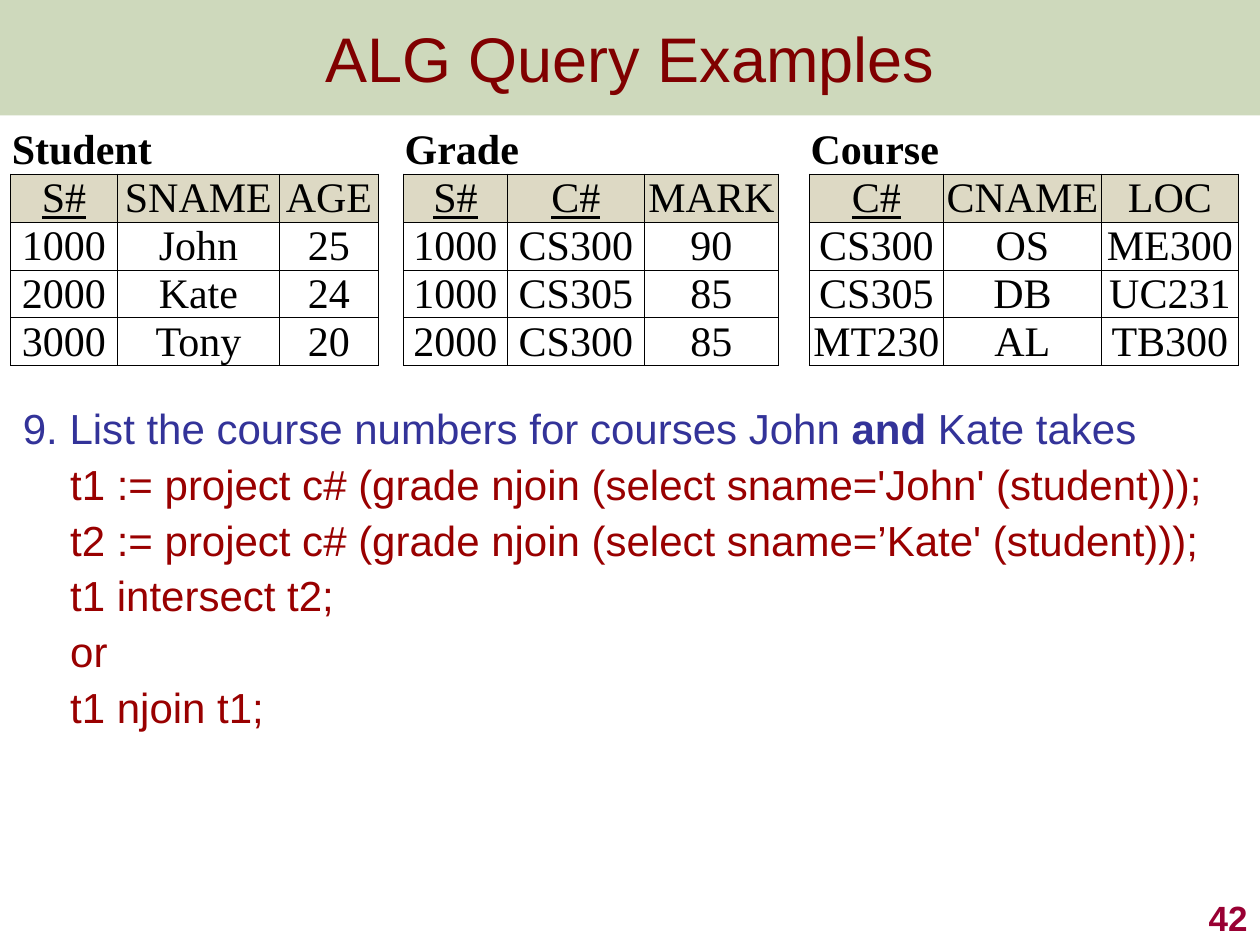
import pptx
import pptx.util
import pptx.dml.color
import pptx.enum.text
import pptx.oxml.ns
from lxml import etree

Pt = pptx.util.Pt
ALIGN = pptx.enum.text.PP_ALIGN
ANCHOR = pptx.enum.text.MSO_ANCHOR

THEME = {
    "sans": "Arial", "serif": "Times New Roman",
    "title_size": 36, "text_size": 24, "number_size": 20,
    "band": "5F8422", "title": "800000", "question": "333399", "answer": "990000",
    "number": "990033", "ink": "000000", "paper": "FFFFFF", "header": "DDD9C4",
}

TITLE = "ALG Query Examples"
PAGE_NUMBER = "42"
# Each relation: name, key columns, column widths, header row and data rows
RELATIONS = [
    ("Student", {"S#"}, (61.1, 92.6, 56.6),
     [("S#", "SNAME", "AGE"), ("1000", "John", "25"),
      ("2000", "Kate", "24"), ("3000", "Tony", "20")]),
    ("Grade", {"S#", "C#"}, (59.4, 78.3, 76.6),
     [("S#", "C#", "MARK"), ("1000", "CS300", "90"),
      ("1000", "CS305", "85"), ("2000", "CS300", "85")]),
    ("Course", {"C#"}, (76.6, 90.3, 78.3),
     [("C#", "CNAME", "LOC"), ("CS300", "OS", "ME300"),
      ("CS305", "DB", "UC231"), ("MT230", "AL", "TB300")]),
]
GAPS = (14.3, 17.7)
ROW_HEIGHT = 27.43
QUESTION = [("9. List the course numbers for courses John ", False),
            ("and ", True), ("Kate takes", False)]
ANSWER = [
    "t1 := project c# (grade njoin (select sname='John' (student)));",
    "t2 := project c# (grade njoin (select sname=’Kate' (student)));",
    "t1 intersect t2;",
    "or",
    "t1 njoin t1;",
]


def rgb(name):
    return pptx.dml.color.RGBColor.from_string(THEME[name])


def add_text(para, text, color="ink", size="text_size", font="sans",
             bold=False, underline=False, align=None):
    span = para.add_run()
    span.text = text
    span.font.name = THEME[font]
    span.font.size = Pt(THEME[size])
    span.font.bold = bold
    span.font.underline = underline
    span.font.color.rgb = rgb(color)
    if align is not None:
        para.alignment = align


def add_element(parent, tag, **attributes):
    return etree.SubElement(parent, pptx.oxml.ns.qn(tag), attributes)


def set_borders(cell, edges):
    """Draw the edges named in the set (L, R, T, B) and clear the others."""
    properties = cell._tc.get_or_add_tcPr()
    for edge in "LRTB":
        line = add_element(properties, f"a:ln{edge}", w=str(Pt(0.5)))
        if edge in edges:
            fill = add_element(line, "a:solidFill")
            add_element(fill, "a:srgbClr", val=THEME["ink"])
        else:
            add_element(line, "a:noFill")


def add_title(page):
    title = page.shapes.title
    title.left, title.top, title.width, title.height = Pt(0), Pt(0), Pt(720), Pt(66)
    title.fill.solid()
    title.fill.fore_color.rgb = rgb("band")
    color = title.fill._xPr.find(".//" + pptx.oxml.ns.qn("a:srgbClr"))
    add_element(color, "a:alpha", val="30000")
    title.text_frame.vertical_anchor = ANCHOR.MIDDLE
    add_text(title.text_frame.paragraphs[0], TITLE, color="title",
             size="title_size", align=ALIGN.CENTER)


def add_relations(page):
    widths, starts = [], []
    for index, relation in enumerate(RELATIONS):
        if index:
            widths.append(GAPS[index - 1])
        starts.append(len(widths))
        widths.extend(relation[2])
    row_count = 1 + len(RELATIONS[0][3])
    table = page.shapes.add_table(row_count, len(widths), Pt(6), Pt(72), Pt(sum(widths)),
                                  Pt(ROW_HEIGHT * row_count)).table
    table.first_row = table.horz_banding = False
    for column, width in zip(table.columns, widths):
        column.width = Pt(width)

    gaps = {start - 1 for start in starts[1:]}

    def in_grid(row, column):
        return 0 < row < row_count and 0 <= column < len(widths) and column not in gaps

    for r, row in enumerate(table.rows):
        row.height = Pt(ROW_HEIGHT)
        for c, cell in enumerate(row.cells):
            neighbours = {"L": (r, c - 1), "R": (r, c + 1), "T": (r - 1, c), "B": (r + 1, c)}
            set_borders(cell, {edge for edge, place in neighbours.items()
                               if in_grid(r, c) or in_grid(*place)})
            cell.fill.solid()
            cell.fill.fore_color.rgb = rgb("header" if r == 1 and in_grid(r, c) else "paper")
            cell.margin_left = cell.margin_right = Pt(0.72)
            cell.margin_top = cell.margin_bottom = Pt(0)
            cell.vertical_anchor = ANCHOR.BOTTOM

    for start, (name, keys, columns, rows) in zip(starts, RELATIONS):
        label = table.cell(0, start)
        label.merge(table.cell(0, start + len(columns) - 1))
        add_text(label.text_frame.paragraphs[0], name, font="serif", bold=True)
        for r, values in enumerate(rows, 1):
            for c, value in enumerate(values, start):
                add_text(table.cell(r, c).text_frame.paragraphs[0], value, font="serif",
                         underline=r == 1 and value in keys, align=ALIGN.CENTER)


def add_box(page, left, top, width, height):
    box = page.shapes.add_textbox(Pt(left), Pt(top), Pt(width), Pt(height))
    box.text_frame.word_wrap = True
    return box.text_frame


def add_query(page):
    frame = add_box(page, 6, 230, 699, 192)
    frame.margin_right = Pt(0)
    para = frame.paragraphs[0]
    para.line_spacing = 0.9
    para._p.get_or_add_pPr().set("marL", str(Pt(27)))
    para._p.get_or_add_pPr().set("indent", str(Pt(-27)))
    for text, bold in QUESTION:
        add_text(para, text, color="question", bold=bold)
    for text in ANSWER:
        para = frame.add_paragraph()
        para.line_spacing = 0.9
        para.space_before = Pt(5.9)
        para._p.get_or_add_pPr().set("marL", str(Pt(27)))
        add_text(para, text, color="answer")


def add_page_number(page):
    frame = add_box(page, 570, 504, 150, 36)
    frame.vertical_anchor = ANCHOR.BOTTOM
    add_text(frame.paragraphs[0], PAGE_NUMBER, color="number", size="number_size",
             bold=True, align=ALIGN.RIGHT)


def main():
    deck = pptx.Presentation()
    deck.slide_width, deck.slide_height = Pt(720), Pt(540)
    page = deck.slides.add_slide(deck.slide_layouts[5])
    add_title(page)
    add_relations(page)
    add_query(page)
    add_page_number(page)
    deck.save("out.pptx")


if __name__ == "__main__":
    main()
